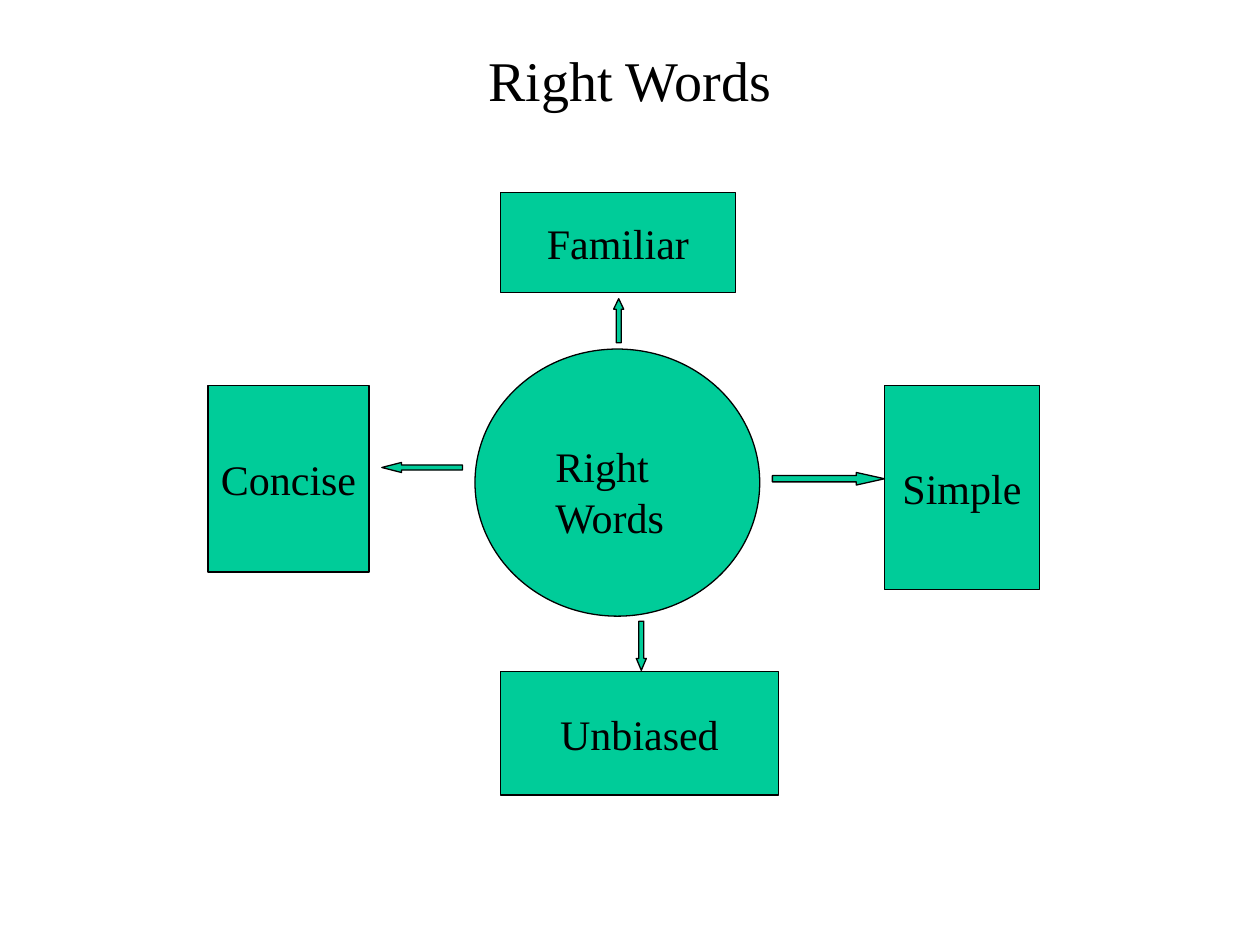
from pptx import Presentation
from pptx.dml.color import RGBColor
from pptx.enum.shapes import MSO_SHAPE
from pptx.enum.text import MSO_ANCHOR, MSO_AUTO_SIZE, PP_ALIGN
from pptx.util import Inches, Pt

COLORS = {"fill": "00CC99", "ink": "000000", "paper": "FFFFFF"}
FONT = "Times New Roman"
CELL = 0.1


def color(name):
    return RGBColor.from_string(COLORS[name])


def grid(*cells):
    return [Inches(c * CELL) for c in cells]


def write(tf, text, size=24, align=PP_ALIGN.CENTER, anchor=MSO_ANCHOR.MIDDLE,
          wrap=False, auto=MSO_AUTO_SIZE.NONE):
    tf.word_wrap = wrap
    tf.auto_size = auto
    tf.vertical_anchor = anchor
    p = tf.paragraphs[0]
    p.alignment = align
    r = p.add_run()
    r.text = text
    r.font.name = FONT
    r.font.size = Pt(size)
    r.font.color.rgb = color("ink")


class Diagram:
    def __init__(self, prs):
        self.s = prs.slides.add_slide(prs.slide_layouts[0])
        self.s.background.fill.solid()
        self.s.background.fill.fore_color.rgb = color("paper")
        subtitle = self.s.placeholders[1].element
        subtitle.getparent().remove(subtitle)

    def title(self, text, *box):
        sp = self.s.shapes.title
        sp.left, sp.top, sp.width, sp.height = grid(*box)
        write(sp.text_frame, text, size=32, wrap=True)

    def shape(self, kind, *box):
        sp = self.s.shapes.add_shape(kind, *grid(*box))
        sp.shadow.inherit = False
        sp.fill.solid()
        sp.fill.fore_color.rgb = color("fill")
        sp.line.color.rgb = color("ink")
        sp.line.width = Pt(0.75)
        return sp

    def box(self, text, *box):
        write(self.shape(MSO_SHAPE.RECTANGLE, *box).text_frame, text)

    def hub(self, *box):
        self.shape(MSO_SHAPE.OVAL, *box)

    def label(self, text, *box):
        sp = self.s.shapes.add_textbox(*grid(*box))
        write(sp.text_frame, text, align=PP_ALIGN.LEFT, anchor=MSO_ANCHOR.TOP,
              wrap=True, auto=MSO_AUTO_SIZE.SHAPE_TO_FIT_TEXT)

    def arrow(self, kind, head, turn, *box):
        sp = self.shape(kind, *box)
        sp.adjustments[0] = 0.5
        sp.adjustments[1] = head
        sp.rotation = turn


def main():
    prs = Presentation()
    prs.slide_width, prs.slide_height = Inches(10), Inches(7.5)
    d = Diagram(prs)
    d.title("Right Words", 7.5, 0, 85, 12.5)
    d.hub(37.7, 27.7, 22.6, 21.2)
    d.label("Right Words", 43.1, 34.5, 15.2, 9)

    for text, *box in [
        ("Familiar", 39.7, 15.3, 18.7, 7.9),
        ("Concise", 16.5, 30.6, 12.8, 14.8),
        ("Simple", 70.2, 30.6, 12.3, 16.2),
        ("Unbiased", 39.7, 53.3, 22.1, 9.8),
    ]:
        d.box(text, *box)

    across, down = MSO_SHAPE.RIGHT_ARROW, MSO_SHAPE.DOWN_ARROW
    for kind, head, turn, *box in [
        (across, 1.96, 180, 30.3, 36.7, 6.4, 0.8),
        (across, 2.24, 0, 61.3, 37.5, 8.9, 1),
        (down, 1.18, 0, 50.5, 49.3, 0.8, 3.9),
        (down, 1.04, 180, 48.7, 23.7, 0.8, 3.5),
    ]:
        d.arrow(kind, head, turn, *box)

    prs.save("out.pptx")


if __name__ == "__main__":
    main()
